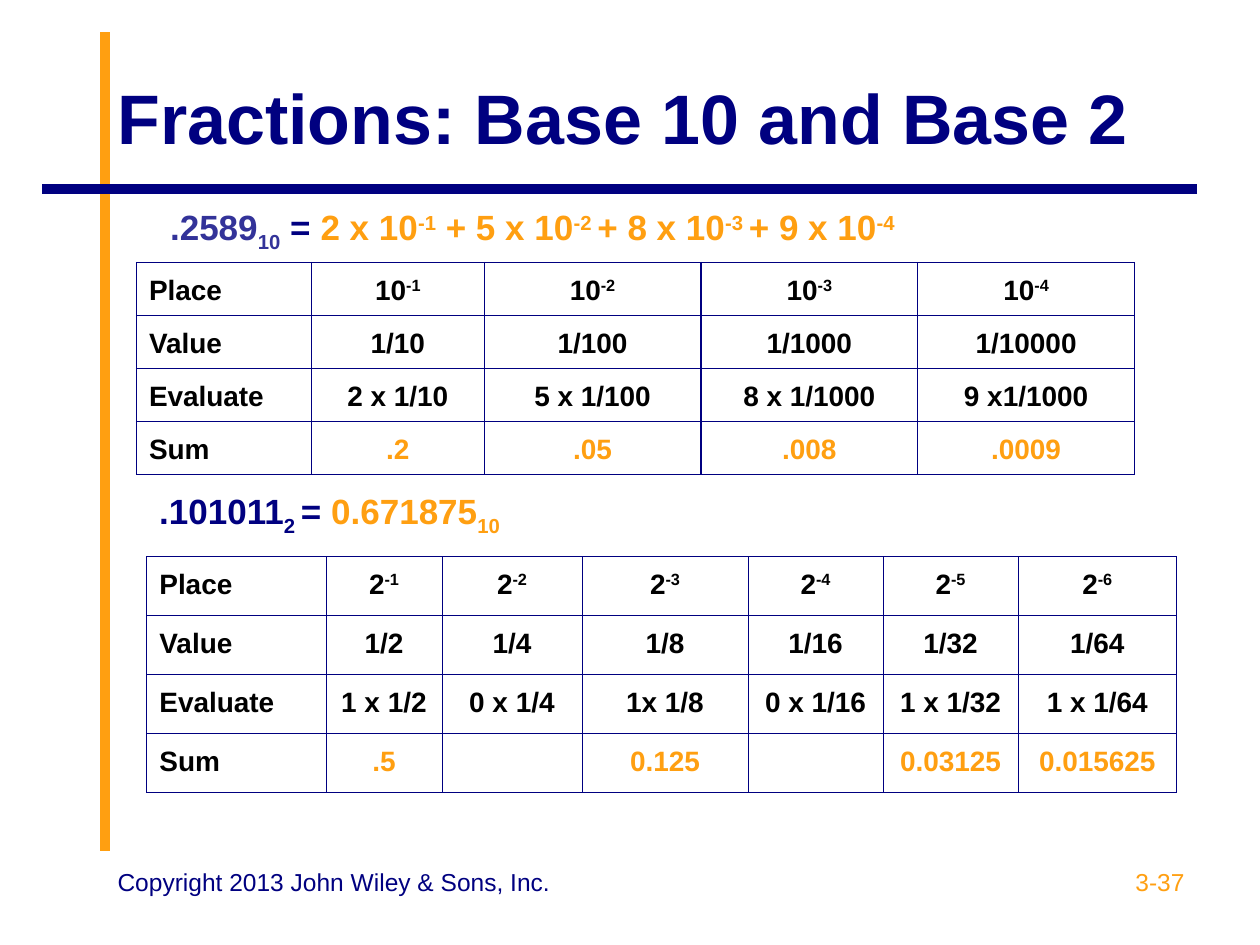
import pptx
import pptx.dml.color
import pptx.enum.shapes
import pptx.enum.text
import pptx.oxml.ns
import pptx.util
from lxml import etree

Cm = pptx.util.Cm
Pt = pptx.util.Pt
ALIGN = pptx.enum.text.PP_ALIGN
ANCHOR = pptx.enum.text.MSO_ANCHOR

NAVY = pptx.dml.color.RGBColor(0x00, 0x00, 0x80)
INDIGO = pptx.dml.color.RGBColor(0x33, 0x33, 0x99)
ORANGE = pptx.dml.color.RGBColor(0xFF, 0x9F, 0x11)
BLACK = pptx.dml.color.RGBColor(0x00, 0x00, 0x00)

# Baseline shifts, in thousandths of a percent
SUPER = 30000
SUB = -25000


class SlideBuilder:
    font_name = "Arial"
    rule_width = 5.5
    border_width = 0.75
    cell_size = 16

    def __init__(self, slide):
        self.slide = slide

    def add_rule(self, start, end, color):
        line = self.slide.shapes.add_connector(
            pptx.enum.shapes.MSO_CONNECTOR.STRAIGHT,
            Cm(start[0]), Cm(start[1]), Cm(end[0]), Cm(end[1]))
        line.line.color.rgb = color
        line.line.width = Pt(self.rule_width)
        etree.SubElement(line._element.spPr, pptx.oxml.ns.qn("a:effectLst"))

    def write_runs(self, paragraph, runs, size, bold):
        """Each run is (text, color) or (text, color, baseline shift)."""
        for text, color, *shift in runs:
            run = paragraph.add_run()
            run.text = text
            run.font.name = self.font_name
            run.font.size = Pt(size)
            run.font.bold = bold
            run.font.color.rgb = color
            if shift:
                run._r.get_or_add_rPr().set("baseline", str(shift[0]))

    def add_text(self, box, runs, size, bold=False, align=ALIGN.LEFT, anchor=ANCHOR.TOP):
        shape = self.slide.shapes.add_textbox(*map(Cm, box))
        frame = shape.text_frame
        frame.word_wrap = True
        frame.vertical_anchor = anchor
        paragraph = frame.paragraphs[0]
        paragraph.alignment = align
        self.write_runs(paragraph, runs, size, bold)

    def set_borders(self, cell, widths):
        properties = cell._tc.get_or_add_tcPr()
        for side, width in zip("LRTB", widths):
            line = etree.SubElement(properties, pptx.oxml.ns.qn(f"a:ln{side}"), w=str(Pt(width)))
            fill = etree.SubElement(line, pptx.oxml.ns.qn("a:solidFill"))
            etree.SubElement(fill, pptx.oxml.ns.qn("a:srgbClr"), val=str(NAVY))

    def add_place_table(self, left, top, column_widths, row_height, base, rows, inner_width):
        """The heading row holds the negative powers of the base."""
        columns = len(column_widths)
        powers = [[(base, BLACK), (f"-{place}", BLACK, SUPER)] for place in range(1, columns)]
        content = [[[("Place", BLACK)]] + powers]
        for label, *values in rows:
            color = ORANGE if label == "Sum" else BLACK
            content.append([[(label, BLACK)]] + [[(value, color)] for value in values])

        table = self.slide.shapes.add_table(
            len(content), columns, Cm(left), Cm(top),
            Cm(sum(column_widths)), Cm(row_height * len(content))).table
        table.first_row = False
        table.horz_banding = False
        for column, width in zip(table.columns, column_widths):
            column.width = Cm(width)
        for row, row_content in zip(table.rows, content):
            row.height = Cm(row_height)
            for index, (cell, runs) in enumerate(zip(row.cells, row_content)):
                left_width = self.border_width if index == 0 else inner_width
                right_width = self.border_width if index == columns - 1 else inner_width
                self.set_borders(
                    cell, (left_width, right_width, self.border_width, self.border_width))
                cell.fill.background()
                paragraph = cell.text_frame.paragraphs[0]
                paragraph.alignment = ALIGN.CENTER if index else ALIGN.LEFT
                paragraph.line_spacing = 1.2
                if runs[0][0]:
                    self.write_runs(paragraph, runs, self.cell_size, True)


def main():
    presentation = pptx.Presentation()
    presentation.slide_width = Cm(25.4)
    presentation.slide_height = Cm(19.05)
    builder = SlideBuilder(presentation.slides.add_slide(presentation.slide_layouts[6]))

    # Crossed rules and title
    builder.add_rule((2.12, 17.15), (2.12, 0.64), ORANGE)
    builder.add_rule((24.13, 3.81), (0.85, 3.81), NAVY)
    builder.add_text((2.12, 0.76, 22.01, 3.18), [("Fractions: Base 10 and Base 2", NAVY)],
                     40, bold=True, anchor=ANCHOR.MIDDLE)

    # Base 10
    builder.add_text((3.18, 4.02, 19.47, 1.22), [
        (".2589", INDIGO), ("10", INDIGO, SUB), (" = ", NAVY),
        ("2 x 10", ORANGE), ("-1", ORANGE, SUPER),
        (" + 5 x 10", ORANGE), ("-2 ", ORANGE, SUPER),
        ("+ 8 x 10", ORANGE), ("-3 ", ORANGE, SUPER),
        ("+ 9 x 10", ORANGE), ("-4", ORANGE, SUPER),
    ], 20, bold=True)
    builder.add_place_table(2.75, 5.29, [3.53, 3.48, 4.37, 4.37, 4.37], 1.07, "10", [
        ["Value", "1/10", "1/100", "1/1000", "1/10000"],
        ["Evaluate", "2 x 1/10", "5 x 1/100", "8 x 1/1000", "9 x1/1000"],
        ["Sum", ".2", ".05", ".008", ".0009"],
    ], inner_width=0.75)

    # Base 2
    builder.add_text((2.96, 9.74, 7.62, 1.22), [
        (".101011", NAVY), ("2 ", NAVY, SUB), ("=", NAVY),
        (" 0.671875", ORANGE), ("10", ORANGE, SUB),
    ], 20, bold=True)
    builder.add_place_table(2.96, 11.22, [3.61, 2.34, 2.82, 3.35, 2.72, 2.72, 3.2], 1.19, "2", [
        ["Value", "1/2", "1/4", "1/8", "1/16", "1/32", "1/64"],
        ["Evaluate", "1 x 1/2", "0 x 1/4", "1x 1/8", "0 x 1/16", "1 x 1/32", "1 x 1/64"],
        ["Sum", ".5", "", "0.125", "", "0.03125", "0.015625"],
    ], inner_width=0.45)

    # Footer
    builder.add_text((18.2, 17.36, 5.93, 1.32), [("3-37", ORANGE)], 14, align=ALIGN.RIGHT)
    builder.add_text((2.12, 17.36, 9.31, 1.32),
                     [("Copyright 2013 John Wiley & Sons, Inc.", NAVY)], 14)

    presentation.save("out.pptx")


if __name__ == "__main__":
    main()
